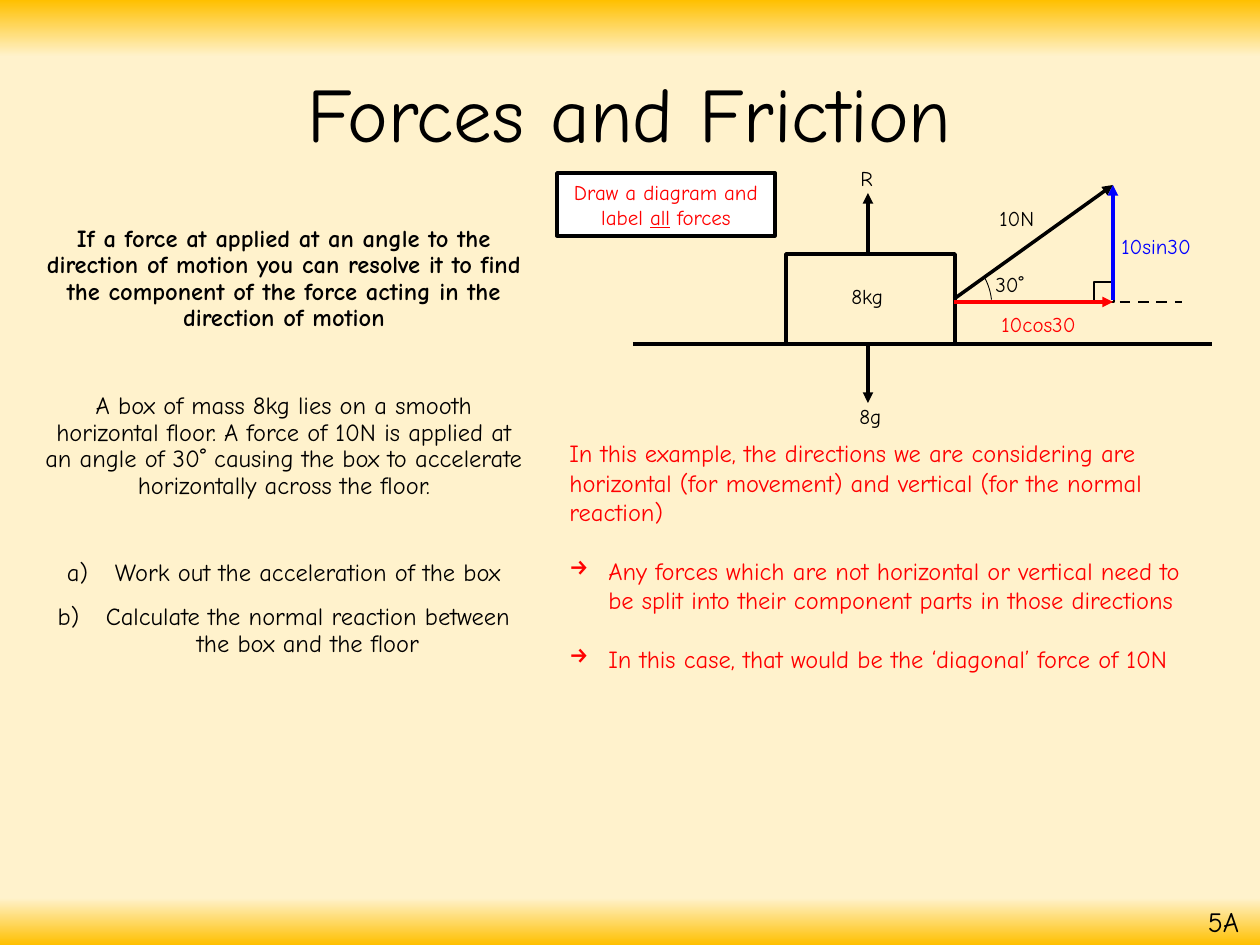
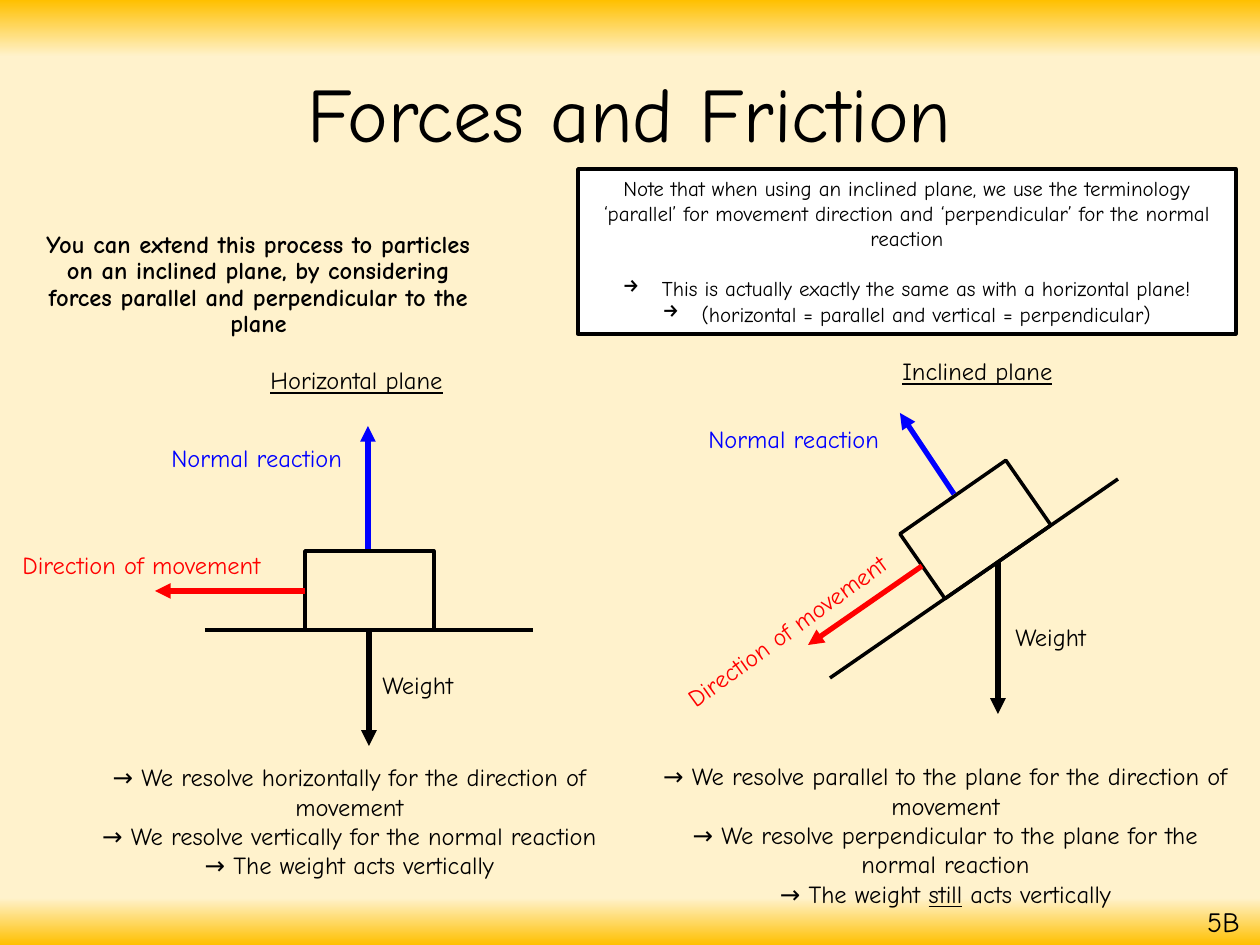
from copy import deepcopy

from lxml import etree
from pptx import Presentation
from pptx.dml.color import RGBColor
from pptx.enum.dml import MSO_LINE
from pptx.enum.shapes import MSO_CONNECTOR, MSO_SHAPE
from pptx.enum.text import MSO_ANCHOR, MSO_AUTO_SIZE, PP_ALIGN
from pptx.oxml.ns import qn
from pptx.util import Pt

EMU_PER_PX = 914400 / 126
FONT = "Comic Neue"
BLACK = RGBColor(0x00, 0x00, 0x00)
WHITE = RGBColor(0xFF, 0xFF, 0xFF)
RED = RGBColor(0xFF, 0x00, 0x00)
BLUE = RGBColor(0x00, 0x00, 0xFF)
GOLD = RGBColor(0xFF, 0xC0, 0x00)
CREAM = RGBColor(0xFF, 0xF2, 0xCC)
BAND_STOPS = [(0, GOLD), (0.06, CREAM), (0.95, CREAM), (1, GOLD)]

RECTANGLE, ARC = MSO_SHAPE.RECTANGLE, MSO_SHAPE.ARC
STRAIGHT, DASH = MSO_CONNECTOR.STRAIGHT, MSO_LINE.DASH
CENTER, LEFT = PP_ALIGN.CENTER, PP_ALIGN.LEFT
TOP, MIDDLE = MSO_ANCHOR.TOP, MSO_ANCHOR.MIDDLE
FIXED, GROW = MSO_AUTO_SIZE.NONE, MSO_AUTO_SIZE.SHAPE_TO_FIT_TEXT

TITLE_BOX = (87, 26, 1086, 183)
CODE_BOX = (1187, 902, 73, 43)
LABEL_HEIGHTS = {12: 38, 14: 43}
SPACED = {"line_spacing": 0.9, "space_before": Pt(10)}
AFTER_GAP = {"space_before": Pt(35)}
LINE_GAPS = {12: {"space_before": Pt(14.4)}, 14: {"space_before": Pt(16.8)}}
ARROW_BULLET = ("buChar", {"char": "→"}, 39)
LETTER_BULLET = ("buAutoNum", {"type": "alphaLcParenR"}, 48)


def px(length):
    """Turn pixels into EMU."""
    return round(length * EMU_PER_PX)


def apply(target, values):
    """Set each named attribute of the target."""
    for name, value in values.items():
        setattr(target, name, value)


def place(shape, box):
    """Move and size a shape to a box in pixels."""
    apply(shape, dict(zip(("left", "top", "width", "height"), map(px, box))))


def paragraph(*spans, bullet=None, **values):
    """Describe a paragraph; spans alternate between plain and underlined."""
    return spans, bullet, values


def set_bullet(para, bullet):
    """Give a paragraph a hanging bullet, or none at all."""
    tag, attributes, indent = bullet or ("buNone", {}, 0)
    properties = para._p.get_or_add_pPr()
    properties.set("marL", str(px(indent)))
    properties.set("indent", str(-px(indent)))
    etree.SubElement(properties, qn(f"a:{tag}"), attributes)


def write(frame, paragraphs, size=14, color=BLACK, font=None, base=None, **frame_values):
    """Fill a text frame with formatted paragraphs."""
    apply(frame, {"word_wrap": True, "vertical_anchor": TOP, **frame_values})
    for index, (spans, bullet, values) in enumerate(paragraphs):
        para = frame.add_paragraph() if index else frame.paragraphs[0]
        values = dict(values)
        bold = values.pop("bold", False)
        apply(para, {"alignment": CENTER, **(base or {}), **values})
        set_bullet(para, bullet)
        for number, text in enumerate(spans):
            span = para.add_run()
            span.text = text
            span.font.color.rgb = color
            apply(span.font, {"name": FONT, "size": Pt(size), "bold": bold,
                              "underline": number % 2 == 1, **(font or {})})


def text_box(page, box, paragraphs, **style):
    """Add a text box holding paragraphs."""
    shape = page.shapes.add_textbox(*map(px, box))
    write(shape.text_frame, paragraphs, **{"auto_size": GROW, **style})
    return shape


def label(page, text, x, y, width, size=14, color=BLACK, rotation=0, **font):
    """Add a one-line label."""
    shape = text_box(page, (x, y, width, LABEL_HEIGHTS[size]),
                     [paragraph(text, alignment=LEFT)], size=size, color=color,
                     font=font, word_wrap=False)
    shape.rotation = rotation


def outline(page, box, kind=RECTANGLE, weight=2, rotation=0, fill=None):
    """Add a black-edged shape, hollow unless a fill is given."""
    shape = page.shapes.add_shape(kind, *map(px, box))
    shape.shadow.inherit = False
    shape.rotation = rotation
    if fill is None:
        shape.fill.background()
    else:
        shape.fill.solid()
        shape.fill.fore_color.rgb = fill
    shape.line.color.rgb = BLACK
    shape.line.width = Pt(weight)
    return shape


def callout(page, box, paragraphs, color=BLACK):
    """Add a white box with a centred note."""
    shape = outline(page, box, fill=WHITE)
    write(shape.text_frame, paragraphs, size=12, color=color, auto_size=GROW)


def line(page, start, end, color=BLACK, weight=2, dash=None):
    """Add a straight line."""
    connector = page.shapes.add_connector(STRAIGHT, *map(px, start + end))
    connector.line.color.rgb = color
    connector.line.width = Pt(weight)
    if dash:
        connector.line.dash_style = dash
    etree.SubElement(connector.element.spPr, qn("a:effectLst"))
    return connector


def arrow(page, start, end, color=BLACK, weight=2):
    """Add a line with an arrowhead at its end."""
    connector = line(page, start, end, color, weight)
    edge = connector.element.spPr.find(qn("a:ln"))
    etree.SubElement(edge, qn("a:tailEnd"), {"type": "triangle"})


def paint_bands(master):
    """Give every page the gold bands at top and bottom."""
    fill = master.background.fill
    fill.gradient()
    fill.gradient_angle = 270
    stop_list = master.element.find(f".//{qn('a:gsLst')}")
    for stop in list(stop_list):
        stop_list.append(deepcopy(stop))
    for stop, (position, color) in zip(fill.gradient_stops, BAND_STOPS):
        stop.position = position
        stop.color.rgb = color


def start_page(deck, code, body_box, body):
    """Add a page with its title, body text and page code."""
    page = deck.slides.add_slide(deck.slide_layouts[1])
    title, content = page.placeholders
    place(title, TITLE_BOX)
    write(title.text_frame, [paragraph("Forces and Friction")], size=44,
          base={"line_spacing": 0.9}, vertical_anchor=MIDDLE, auto_size=FIXED)
    place(content, body_box)
    write(content.text_frame, body, base=SPACED, auto_size=FIXED)
    text_box(page, CODE_BOX, [paragraph(code)], size=16, base=SPACED, auto_size=FIXED)
    return page


def draw_pulled_box(page):
    """Draw the 8kg box and the forces on it."""
    line(page, (954, 302), (1182, 302), weight=1.5, dash=DASH)
    outline(page, (1094, 282, 20, 20), weight=1)
    outline(page, (786, 254, 169, 90))
    arrow(page, (954, 299), (1113, 185))
    arrow(page, (954, 302), (1113, 302), RED)
    arrow(page, (1113, 300), (1113, 185), BLUE)
    angle = outline(page, (866, 244, 126, 126), ARC, weight=0.5)
    angle.adjustments[0], angle.adjustments[1] = 198.97, 212.03
    line(page, (633, 344), (1212, 344))
    arrow(page, (868, 343), (868, 403))
    arrow(page, (868, 253), (868, 193))
    for text, x, y, width, color in [
        ("30˚", 983, 265, 63, BLACK),
        ("10N", 987, 199, 66, BLACK),
        ("10sin30", 1109, 227, 102, BLUE),
        ("10cos30", 989, 305, 106, RED),
        ("8g", 847, 397, 49, BLACK),
        ("8kg", 839, 277, 62, BLACK),
        ("R", 848, 159, 39, BLACK),
    ]:
        label(page, text, x, y, width, 12, color)


def draw_plane(page, name, plane):
    """Draw a block on a plane with its three labelled forces."""
    label(page, name, *plane["name"], underline=True)
    line(page, *plane["floor"])
    outline(page, plane["block"], rotation=plane["block_turn"])
    arrow(page, *plane["movement"], RED, 3)
    arrow(page, *plane["reaction"], BLUE, 3)
    arrow(page, *plane["weight"], BLACK, 3)
    label(page, "Direction of movement", *plane["movement_at"], 289, color=RED,
          rotation=plane["text_turn"])
    label(page, "Normal reaction", *plane["reaction_at"], 212, color=BLUE)
    label(page, "Weight", *plane["weight_at"], 111)
    text_box(page, plane["summary_box"], plane["summary"])


PLANES = {
    "Horizontal plane": {
        "name": (258, 359, 213),
        "floor": ((205, 630), (533, 630)),
        "block": (305, 551, 129, 79), "block_turn": 0, "text_turn": 0,
        "movement": ((305, 591), (155, 591)), "movement_at": (10, 544),
        "reaction": ((368, 549), (368, 426)), "reaction_at": (159, 437),
        "weight": ((369, 630), (369, 746)), "weight_at": (370, 664),
        "summary_box": (52, 756, 595, 131),
        "summary": [
            paragraph("→ We resolve horizontally for the direction of movement"),
            paragraph("→ We resolve vertically for the normal reaction"),
            paragraph("→ The weight acts vertically"),
        ],
    },
    "Inclined plane": {
        "name": (890, 350, 186),
        "floor": ((830, 678), (1118, 479)),
        "block": (911, 490, 129, 79), "block_turn": 325.2, "text_turn": 324.1,
        "movement": ((922, 566), (808, 645)), "movement_at": (653, 602),
        "reaction": ((954, 494), (900, 413)), "reaction_at": (696, 418),
        "weight": ((998, 562), (998, 714)), "weight_at": (1003, 616),
        "summary_box": (648, 755, 595, 161),
        "summary": [
            paragraph("→ We resolve parallel to the plane for the direction of movement"),
            paragraph("→ We resolve perpendicular to the plane for the normal reaction"),
            paragraph("→ The weight ", "still", " acts vertically"),
        ],
    },
}


def resolving_page(deck):
    """Build the page on resolving an angled force."""
    page = start_page(deck, "5A", (32, 220, 504, 624), [
        paragraph("If a force at applied at an angle to the direction of motion you can "
                  "resolve it to find the component of the force acting in the direction "
                  "of motion", bold=True),
        paragraph("A box of mass 8kg lies on a smooth horizontal floor. A force of 10N is "
                  "applied at an angle of 30˚ causing the box to accelerate horizontally "
                  "across the floor.", **AFTER_GAP),
        paragraph("Work out the acceleration of the box", bullet=LETTER_BULLET, **AFTER_GAP),
        paragraph("Calculate the normal reaction between the box and the floor",
                  bullet=LETTER_BULLET),
    ])
    draw_pulled_box(page)
    text_box(page, (557, 432, 648, 339), [
        paragraph("In this example, the directions we are considering are horizontal (for "
                  "movement) and vertical (for the normal reaction)"),
        paragraph("Any forces which are not horizontal or vertical need to be split into "
                  "their component parts in those directions",
                  bullet=ARROW_BULLET, **LINE_GAPS[14]),
        paragraph("In this case, that would be the ‘diagonal’ force of 10N",
                  bullet=ARROW_BULLET, **LINE_GAPS[14]),
    ], color=RED, base={"alignment": LEFT})
    callout(page, (557, 173, 218, 63),
            [paragraph("Draw a diagram and label ", "all", " forces")], RED)


def planes_page(deck):
    """Build the page comparing horizontal and inclined planes."""
    page = start_page(deck, "5B", (23, 226, 471, 624), [
        paragraph("You can extend this process to particles on an inclined plane, by "
                  "considering forces parallel and perpendicular to the plane", bold=True),
    ])
    for name, plane in PLANES.items():
        draw_plane(page, name, plane)
    callout(page, (578, 169, 658, 165), [
        paragraph("Note that when using an inclined plane, we use the terminology ‘parallel’ "
                  "for movement direction and ‘perpendicular’ for the normal reaction"),
        paragraph("This is actually exactly the same as with a horizontal plane!",
                  bullet=ARROW_BULLET, **LINE_GAPS[12]),
        paragraph("(horizontal = parallel and vertical = perpendicular)",
                  bullet=ARROW_BULLET),
    ])


def main():
    """Build and save the deck."""
    deck = Presentation()
    deck.slide_width, deck.slide_height = px(1260), px(945)
    paint_bands(deck.slide_master)
    resolving_page(deck)
    planes_page(deck)
    deck.save("out.pptx")


if __name__ == "__main__":
    main()
